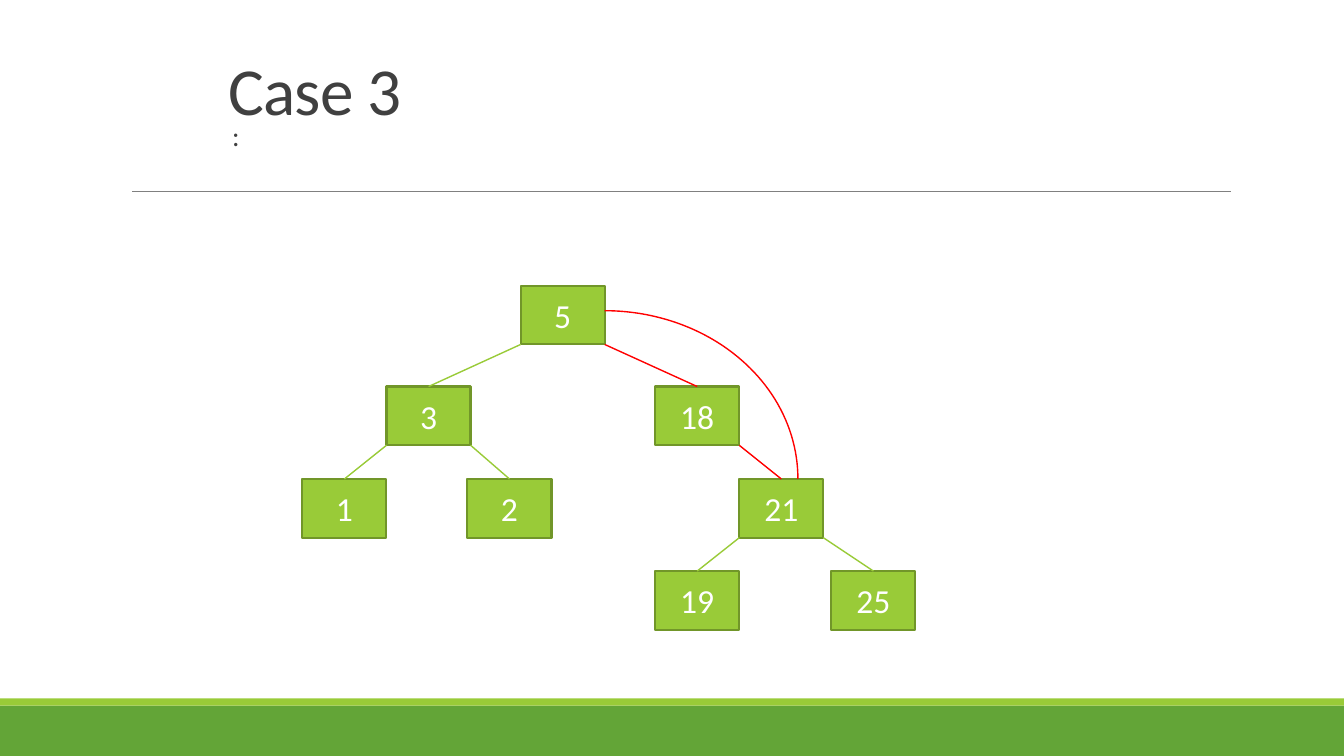
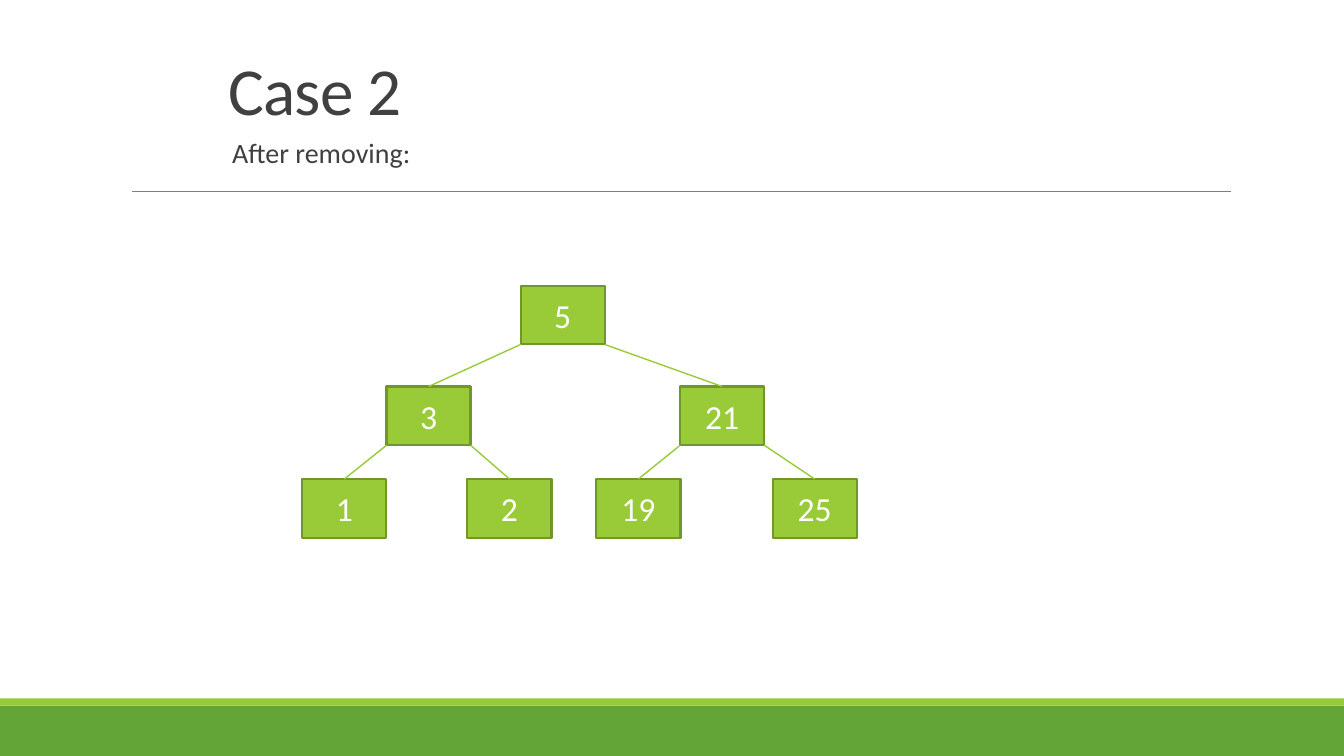
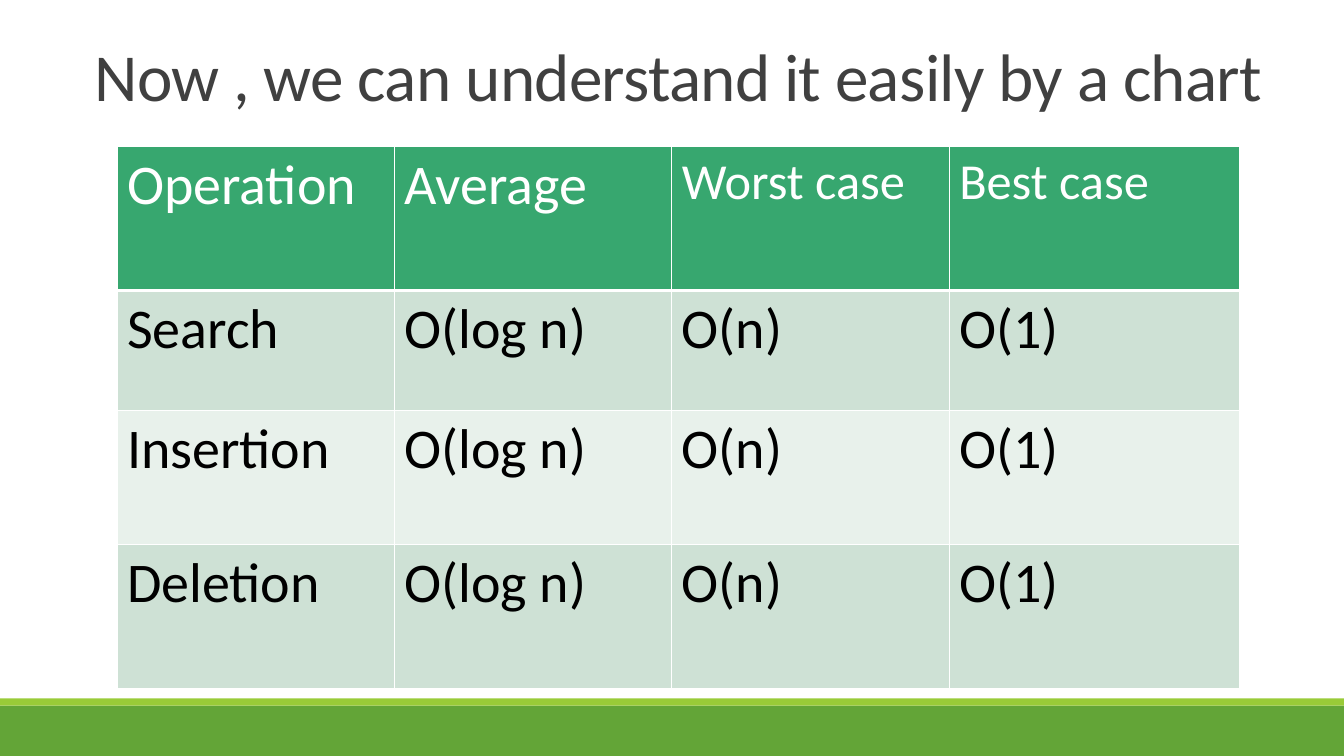
from pptx import Presentation
from pptx.dml.color import RGBColor
from pptx.enum.shapes import MSO_CONNECTOR, MSO_SHAPE
from pptx.enum.text import MSO_ANCHOR, PP_ALIGN
from pptx.oxml import parse_xml
from pptx.oxml.ns import nsdecls
from pptx.util import Cm, Pt

WHITE = RGBColor(0xFF, 0xFF, 0xFF)
BLACK = RGBColor(0, 0, 0)
DARK = RGBColor(0x40, 0x40, 0x40)
GRAY = RGBColor(0x80, 0x80, 0x80)
RED = RGBColor(0xFF, 0, 0)
LIME = RGBColor(0x99, 0xCB, 0x38)
OLIVE = RGBColor(0x71, 0x96, 0x29)
GREEN = RGBColor(0x63, 0xA5, 0x37)
HEAD = RGBColor(0x37, 0xA7, 0x6F)
BANDS = (RGBColor(0xCE, 0xE1, 0xD5), RGBColor(0xE8, 0xF1, 0xEB))

FONT = "Calibri"
WIDTH, HEIGHT = 33.87, 19.05
NODE_W, NODE_H = 2.12, 1.48
LEVELS = (7.2, 9.74, 12.07, 14.39)

LEFT = [
    ("5", 14.18, 0, None, None),
    ("3", 10.8, 1, "5", LIME),
    ("1", 8.68, 2, "3", LIME),
    ("2", 12.84, 2, "3", LIME),
]
BEFORE = LEFT + [
    ("18", 17.57, 1, "5", RED),
    ("21", 19.69, 2, "18", RED),
    ("19", 17.57, 3, "21", LIME),
    ("25", 22.01, 3, "21", LIME),
]
AFTER = LEFT + [
    ("21", 18.2, 1, "5", LIME),
    ("19", 16.09, 2, "21", LIME),
    ("25", 20.53, 2, "21", LIME),
]

COSTS = ["O(log n)", "O(n)", "O(1)"]
ROWS = [["Operation", "Average", "Worst case", "Best case"]] + [
    [name] + COSTS for name in ("Search", "Insertion", "Deletion")
]
COL_W = (6.99, 6.99, 6.99, 7.32)
ROW_H = (3.63, 3.02, 3.38, 3.63)


def write(frame, text, size, color):
    para = frame.paragraphs[0]
    para.text = text
    font = para.runs[0].font
    font.name, font.size, font.bold = FONT, Pt(size), False
    font.color.rgb = color
    return para


def add_box(slide, kind, left, top, width, height, fill=None, line=None, weight=1):
    box = slide.shapes.add_shape(kind, Cm(left), Cm(top), Cm(width), Cm(height))
    box.shadow.inherit = False
    if fill is None:
        box.fill.background()
    else:
        box.fill.solid()
        box.fill.fore_color.rgb = fill
    if line is None:
        box.line.fill.background()
    else:
        box.line.color.rgb = line
        box.line.width = Pt(weight)
    return box


def add_line(slide, start, end, color, weight):
    line = slide.shapes.add_connector(
        MSO_CONNECTOR.STRAIGHT, *(Cm(n) for n in start + end))
    line.line.color.rgb = color
    line.line.width = Pt(weight)
    line._element.spPr.append(parse_xml(f"<a:effectLst {nsdecls('a')}/>"))
    return line


def add_text(slide, left, top, width, height):
    frame = slide.shapes.add_textbox(
        Cm(left), Cm(top), Cm(width), Cm(height)).text_frame
    frame.word_wrap = True
    return frame


def add_title(slide, text, left=5.5, top=0.76, width=22.86, height=2.62):
    frame = add_text(slide, left, top, width, height)
    frame.vertical_anchor = MSO_ANCHOR.BOTTOM
    para = write(frame, text, 48, DARK)
    para.line_spacing = 0.85
    para.runs[0].font._element.set("spc", "-50")


def add_body(slide, text, top):
    frame = add_text(slide, 5.5, top, 22.86, 17.02 - top)
    frame.margin_left = frame.margin_right = 0
    para = write(frame, text, 20, DARK)
    para.line_spacing = 0.9
    para.space_before, para.space_after = Pt(12), Pt(2)
    props = para._element.get_or_add_pPr()
    props.set("marL", str(Cm(0.25)))
    props.set("indent", str(-Cm(0.25)))
    props.append(parse_xml(
        f'<a:buClr {nsdecls("a")}><a:srgbClr val="{LIME}"/></a:buClr>'))
    props.append(parse_xml(f'<a:buChar {nsdecls("a")} char=" "/>'))


def add_slide(deck):
    slide = deck.slides.add_slide(deck.slide_layouts[6])
    add_box(slide, MSO_SHAPE.RECTANGLE, 0, 17.78, WIDTH, 1.27, GREEN)
    add_box(slide, MSO_SHAPE.RECTANGLE, 0, 17.6, WIDTH, 0.18, LIME)
    return slide


def add_node(slide, text, mid, top):
    node = add_box(slide, MSO_SHAPE.RECTANGLE, mid - NODE_W / 2, top,
                   NODE_W, NODE_H, LIME, OLIVE, 1.5)
    node.text_frame.vertical_anchor = MSO_ANCHOR.MIDDLE
    write(node.text_frame, text, 24, WHITE).alignment = PP_ALIGN.CENTER
    return node


def add_tree(slide, nodes):
    spots = {name: (mid, LEVELS[level]) for name, mid, level, *_ in nodes}
    boxes = {name: add_node(slide, name, *spot) for name, spot in spots.items()}
    for name, mid, level, root, color in nodes:
        if root:
            root_x, root_y = spots[root]
            side = NODE_W / 2 if mid > root_x else -NODE_W / 2
            edge = add_line(slide, spots[name],
                            (root_x + side, root_y + NODE_H), color, 1)
            edge.begin_connect(boxes[name], 0)


def add_case(deck, title, body, top, nodes):
    slide = add_slide(deck)
    add_line(slide, (3.33, 4.83), (31.01, 4.83), GRAY, 0.5)
    add_title(slide, title)
    add_body(slide, body, top)
    add_tree(slide, nodes)
    return slide


def style_cell(cell, text, size, color, fill, base):
    write(cell.text_frame, text, size, color)
    props = cell._tc.get_or_add_tcPr()
    for side, weight in zip("LRTB", (1, 1, 1, base)):
        props.append(parse_xml(
            f'<a:ln{side} {nsdecls("a")} w="{Pt(weight)}"><a:solidFill>'
            f'<a:srgbClr val="{WHITE}"/></a:solidFill></a:ln{side}>'))
    cell.fill.solid()
    cell.fill.fore_color.rgb = fill


def add_grid(slide):
    grid = slide.shapes.add_table(
        len(ROWS), len(COL_W), Cm(2.95), Cm(3.69),
        Cm(sum(COL_W)), Cm(sum(ROW_H))).table
    for col, width in zip(grid.columns, COL_W):
        col.width = Cm(width)
    for r, (row, height) in enumerate(zip(ROWS, ROW_H)):
        grid.rows[r].height = Cm(height)
        for c, text in enumerate(row):
            if r == 0:
                look = (40 if c < 2 else 36, WHITE, HEAD, 3)
            else:
                look = (40, BLACK, BANDS[(r - 1) % 2], 1)
            style_cell(grid.cell(r, c), text, *look)


def main():
    deck = Presentation()
    deck.slide_width, deck.slide_height = Cm(WIDTH), Cm(HEIGHT)

    slide = add_case(deck, "Case 3", ":", 2.97, BEFORE)
    add_box(slide, MSO_SHAPE.ARC, 10.37, 7.83, 9.74, 8.47, line=RED)

    add_case(deck, "Case 2", "After removing:", 3.39, AFTER)

    slide = add_slide(deck)
    add_title(slide, "Now , we can understand it easily by a chart",
              2.13, 0, 30.68, 3.02)
    add_grid(slide)

    deck.save("out.pptx")


main()
